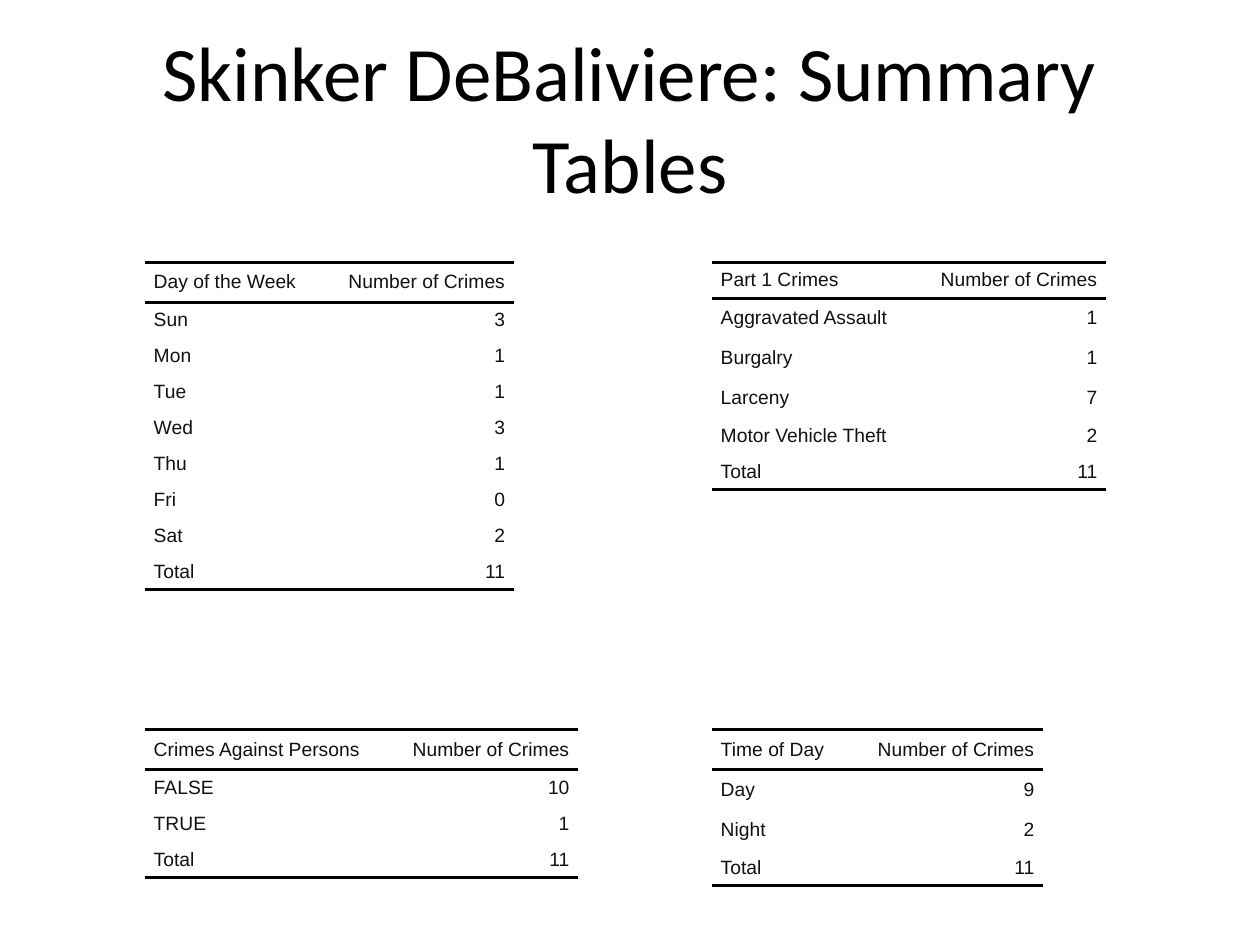
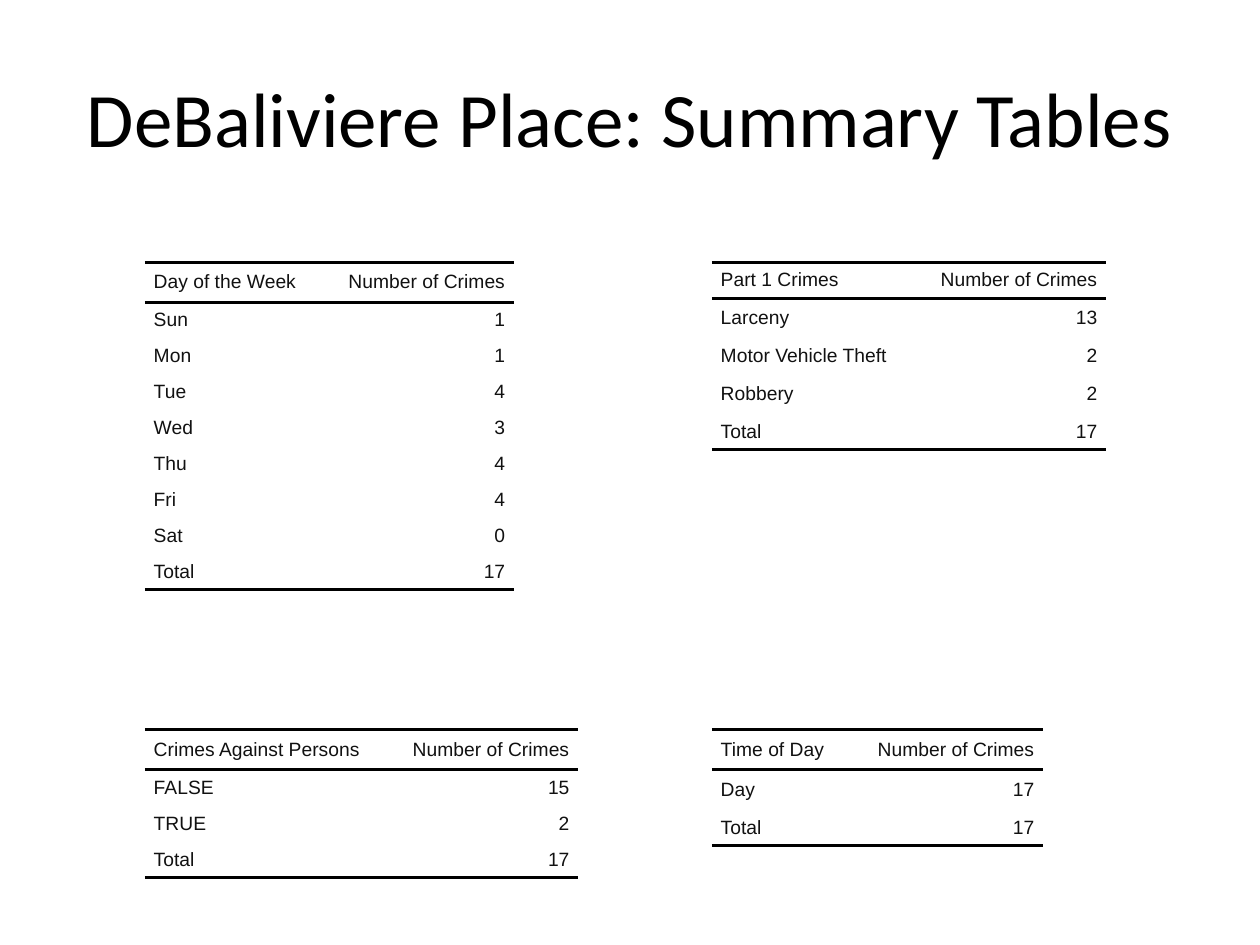
from lxml.etree import SubElement
from pptx import Presentation
from pptx.dml.color import RGBColor
from pptx.enum.text import MSO_ANCHOR, MSO_AUTO_SIZE, PP_ALIGN
from pptx.oxml.ns import qn
from pptx.util import Inches, Pt

COLORS = {"title": "000000", "text": "111111", "rule": "000000"}
TITLE_FONT = {"name": "Calibri", "size": Pt(44)}
CELL_FONT = {"name": "Arial", "size": Pt(11)}
CELL_FORMAT = {"margin_left": 0, "margin_right": 0, "margin_top": 0,
               "margin_bottom": 0, "vertical_anchor": MSO_ANCHOR.MIDDLE}
CELL_SPACING = {"space_before": Pt(2), "space_after": Pt(2)}
CELL_INDENT = Inches(0.07)

COUNT_HEADING = "Number of Crimes"
# heading: (grid column, grid row, label width in inches)
TABLE_PLACES = {
    "Part 1 Crimes": (1, 0, 1.61),
    "Day of the Week": (0, 0, 1.41),
    "Crimes Against Persons": (0, 1, 1.92),
    "Time of Day": (1, 1, 1.11),
}
GRID_LEFTS = (1.15, 5.65)
GRID_TOPS = (2.08, 5.79)
COUNT_WIDTH = Inches(1.52)
ROW_HEIGHT = Pt(20.57)
DESCENDER_ROW_HEIGHT = Pt(22.86)
RULE_WIDTH = Pt(2)
PLAIN_TABLE_STYLE = "{2D5ABB26-0587-4C30-8999-92F81FD0307C}"

DAYS = ("Sun", "Mon", "Tue", "Wed", "Thu", "Fri", "Sat")
NEIGHBORHOODS = {
    "Skinker DeBaliviere": {
        "Part 1 Crimes": {"Aggravated Assault": 1, "Burgalry": 1,
                          "Larceny": 7, "Motor Vehicle Theft": 2},
        "Day of the Week": dict(zip(DAYS, (3, 1, 1, 3, 1, 0, 2))),
        "Crimes Against Persons": {"FALSE": 10, "TRUE": 1},
        "Time of Day": {"Day": 9, "Night": 2},
    },
    "DeBaliviere Place": {
        "Part 1 Crimes": {"Larceny": 13, "Motor Vehicle Theft": 2, "Robbery": 2},
        "Day of the Week": dict(zip(DAYS, (1, 1, 4, 3, 4, 4, 0))),
        "Crimes Against Persons": {"FALSE": 15, "TRUE": 2},
        "Time of Day": {"Day": 17},
    },
}


def apply_format(target, values):
    for name, value in values.items():
        setattr(target, name, value)


def format_font(font, values, color):
    apply_format(font, values)
    font.color.rgb = RGBColor.from_string(COLORS[color])


def row_height(label):
    """Labels with letters below the baseline get a taller row."""
    return DESCENDER_ROW_HEIGHT if set(label) & set("gjpqy") else ROW_HEIGHT


def draw_rules(cell, sides):
    properties = cell._tc.get_or_add_tcPr()
    for position, side in enumerate(sides):
        line = SubElement(properties, qn(f"a:ln{side}"), w=str(RULE_WIDTH))
        fill = SubElement(line, qn("a:solidFill"))
        SubElement(fill, qn("a:srgbClr"), val=COLORS["rule"])
        properties.insert(position, line)


def fill_cell(cell, text, alignment, sides):
    apply_format(cell, CELL_FORMAT)
    cell.fill.background()
    draw_rules(cell, sides)
    cell.text = text
    para = cell.text_frame.paragraphs[0]
    para.alignment = alignment
    apply_format(para, CELL_SPACING)
    properties = para._p.get_or_add_pPr()
    for name, value in (("marL", CELL_INDENT), ("marR", CELL_INDENT), ("indent", 0)):
        properties.set(name, str(value))
    format_font(para.runs[0].font, CELL_FONT, "text")


def add_count_table(page, heading, counts):
    column, row, label_width = TABLE_PLACES[heading]
    rows = [(heading, COUNT_HEADING), *counts.items(), ("Total", sum(counts.values()))]
    widths = (Inches(label_width), COUNT_WIDTH)
    heights = [row_height(label) for label, _ in rows]
    table = page.shapes.add_table(
        len(rows), len(widths), Inches(GRID_LEFTS[column]), Inches(GRID_TOPS[row]),
        sum(widths), sum(heights)).table
    table.first_row = table.horz_banding = False
    table._tbl.tblPr.find(qn("a:tableStyleId")).text = PLAIN_TABLE_STYLE
    for table_column, width in zip(table.columns, widths):
        table_column.width = width
    rules = {0: "TB", len(rows) - 1: "B"}
    for index, (values, height) in enumerate(zip(rows, heights)):
        table.rows[index].height = height
        for place, alignment in enumerate((PP_ALIGN.LEFT, PP_ALIGN.RIGHT)):
            fill_cell(table.cell(index, place), str(values[place]), alignment,
                      rules.get(index, ""))


def add_title(page, text):
    title = page.shapes.title
    apply_format(title, {"left": Inches(0.5), "top": Inches(0.3),
                         "width": Inches(9), "height": Inches(1.25)})
    frame = title.text_frame
    frame.text = text
    apply_format(frame, {"auto_size": MSO_AUTO_SIZE.NONE, "word_wrap": True,
                         "vertical_anchor": MSO_ANCHOR.MIDDLE})
    para = frame.paragraphs[0]
    para.alignment = PP_ALIGN.CENTER
    format_font(para.runs[0].font, TITLE_FONT, "title")


def main():
    deck = Presentation()
    deck.slide_width, deck.slide_height = Inches(10), Inches(7.5)
    title_only = deck.slide_layouts.get_by_name("Title Only")
    for neighborhood, tables in NEIGHBORHOODS.items():
        page = deck.slides.add_slide(title_only)
        add_title(page, f"{neighborhood}: Summary Tables")
        for heading, counts in tables.items():
            add_count_table(page, heading, counts)
    deck.save("out.pptx")


if __name__ == "__main__":
    main()
